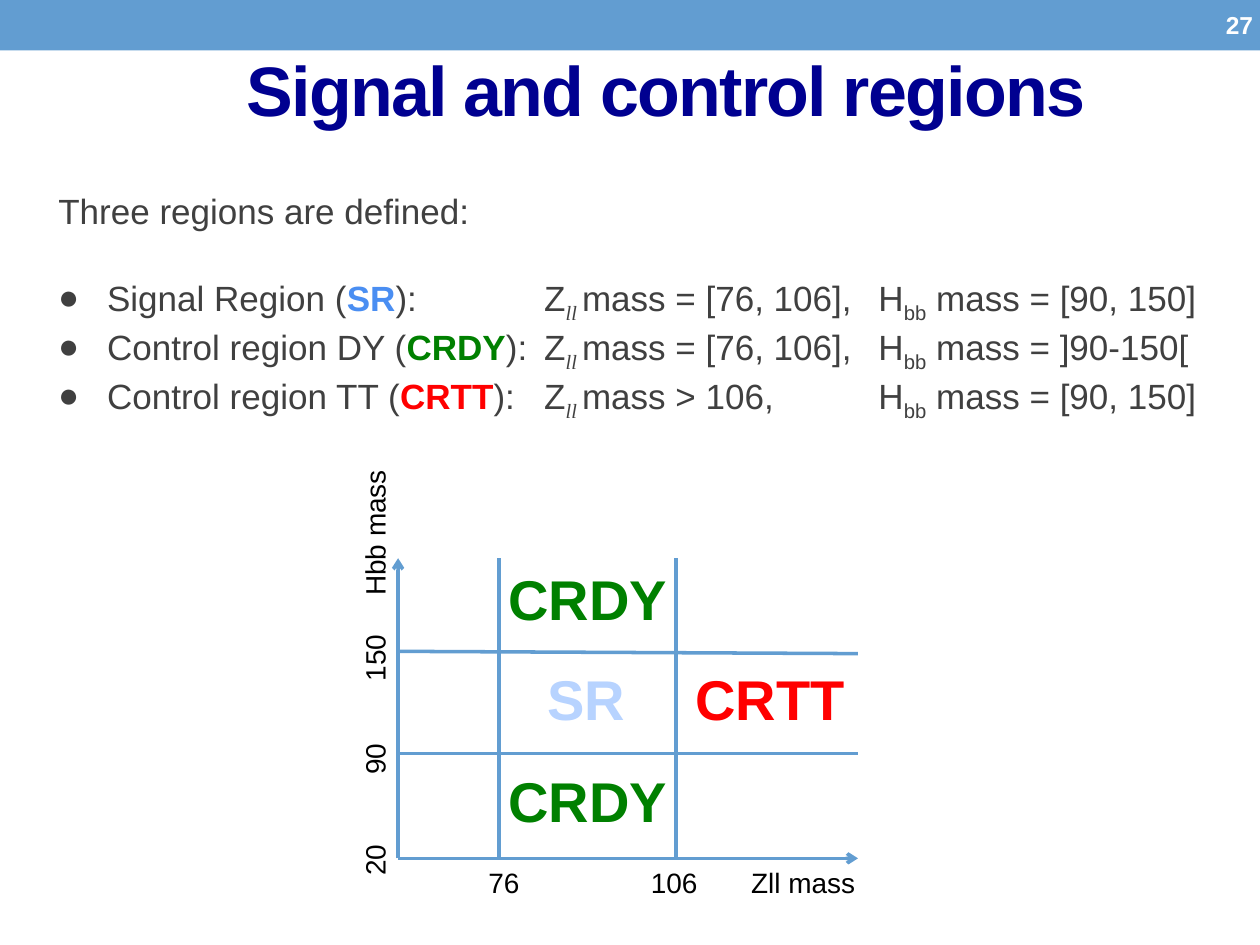
from lxml import etree
from pptx import Presentation
from pptx.dml.color import RGBColor
from pptx.enum.shapes import MSO_CONNECTOR, MSO_SHAPE
from pptx.enum.text import MSO_ANCHOR, PP_ALIGN
from pptx.oxml.ns import qn
from pptx.util import Pt

STRAIGHT = MSO_CONNECTOR.STRAIGHT
RECTANGLE = MSO_SHAPE.RECTANGLE
MIDDLE = MSO_ANCHOR.MIDDLE
LEFT, CENTER = PP_ALIGN.LEFT, PP_ALIGN.CENTER

BLUE = RGBColor(0x62, 0x9D, 0xD1)
NAVY = RGBColor(0x00, 0x00, 0x90)
GRAY = RGBColor(0x40, 0x40, 0x40)
SIGNAL = RGBColor(0x4A, 0x8E, 0xF2)
PALE = RGBColor(0xB7, 0xD3, 0xFF)
GREEN = RGBColor(0x00, 0x80, 0x00)
RED = RGBColor(0xFF, 0x00, 0x00)
BLACK = RGBColor(0x00, 0x00, 0x00)
WHITE = RGBColor(0xFF, 0xFF, 0xFF)

REGIONS = [
    ("Signal Region (", "SR", SIGNAL, "mass = [76, 106],", "mass = [90, 150]"),
    ("Control region DY (", "CRDY", GREEN, "mass = [76, 106],", "mass = ]90-150["),
    ("Control region TT (", "CRTT", RED, "mass > 106,", "mass = [90, 150]"),
]
X_AXIS, Y_AXIS = (227.5, 490.3), (490.5, 319)
LINES = [
    ((X_AXIS[0], Y_AXIS[0]), (X_AXIS[1], Y_AXIS[0]), True),
    ((X_AXIS[0], Y_AXIS[0]), (X_AXIS[0], Y_AXIS[1]), True),
    ((X_AXIS[0], 430.5), (X_AXIS[1], 430.5), False),
    ((X_AXIS[0], 372.2), (X_AXIS[1], 373.5), False),
    ((285.3, Y_AXIS[0]), (285.3, Y_AXIS[1]), False),
    ((386.4, Y_AXIS[0]), (386.4, Y_AXIS[1]), False),
]
AREAS = [("SR", PALE, 335, 399), ("CRTT", RED, 440, 399),
         ("CRDY", GREEN, 336, 342), ("CRDY", GREEN, 336, 457.2)]
X_LABELS = [("76", 288), ("106", 385.3), ("Zll mass", 459)]
Y_LABELS = [("20", 491.4), ("90", 433.7), ("150", 376), ("Hbb mass", 304.6)]
X_LABEL_Y, Y_LABEL_X = 504, 214
ROW_PITCH = 28


def add_box(page, left, top, width, height):
    box = page.shapes.add_textbox(Pt(left), Pt(top), Pt(width), Pt(height))
    frame = box.text_frame
    frame.word_wrap = True
    frame.margin_left = frame.margin_right = frame.margin_top = frame.margin_bottom = 0
    return box


def style(span, size, color, bold=False, font="Arial"):
    span.font.name = font
    span.font.size = Pt(size)
    span.font.bold = bold
    span.font.color.rgb = color


def add_text(page, place, text, size, color, bold=False, align=LEFT, anchor=None):
    box = add_box(page, *place)
    if anchor is not None:
        box.text_frame.vertical_anchor = anchor
    para = box.text_frame.paragraphs[0]
    para.text = text
    para.alignment = align
    style(para.runs[0], size, color, bold)
    return box


def add_centered(page, text, x, y, width, height, size, color, bold=False):
    place = (x - width / 2, y - height / 2, width, height)
    return add_text(page, place, text, size, color, bold, CENTER, MIDDLE)


def add_line(page, start, end, arrow):
    line = page.shapes.add_connector(STRAIGHT, *map(Pt, start + end))
    line.line.color.rgb = BLUE
    line.line.width = Pt(2)
    if arrow:
        etree.SubElement(line.line._get_or_add_ln(), qn("a:tailEnd"), type="arrow")
    etree.SubElement(line._element.spPr, qn("a:effectLst"))


def add_bullet(para):
    properties = para._p.get_or_add_pPr()
    properties.set("marL", str(Pt(36)))
    properties.set("indent", str(Pt(-28)))
    etree.SubElement(properties, qn("a:buFont"), typeface="Arial")
    etree.SubElement(properties, qn("a:buChar"), char="●")


def add_column(page, place, rows, bulleted=False):
    frame = add_box(page, *place).text_frame
    for index, row in enumerate(rows):
        para = frame.paragraphs[0] if index == 0 else frame.add_paragraph()
        para.line_spacing = Pt(ROW_PITCH)
        if bulleted:
            add_bullet(para)
        for text, color, kind in row:
            span = para.add_run()
            span.text = text
            font = "Times New Roman" if kind == "italic sub" else "Arial"
            style(span, 20, color, kind == "bold", font)
            if kind.endswith("sub"):
                span.font.italic = kind == "italic sub"
                span.font._element.set("baseline", "-25000")


def main():
    deck = Presentation()
    deck.slide_width, deck.slide_height = Pt(720), Pt(540)
    page = deck.slides.add_slide(deck.slide_layouts[6])

    band = page.shapes.add_shape(RECTANGLE, 0, 0, Pt(720), Pt(28.8))
    band.shadow.inherit = False
    band.fill.solid()
    band.fill.fore_color.rgb = BLUE
    band.line.fill.background()

    title = add_text(page, (141, 11.5, 560, 78), "Signal and control regions",
                     40, NAVY, True, anchor=MIDDLE)
    title.text_frame.paragraphs[0].runs[0].font._element.set("spc", "-100")
    add_text(page, (700.5, 1.4, 19, 26), "27", 14, WHITE, True, anchor=MIDDLE)
    add_text(page, (33.3, 108, 400, 24), "Three regions are defined:", 20, GRAY)

    names = [[(lead, GRAY, ""), (name, color, "bold"), ("):", GRAY, "")]
             for lead, name, color, _, _ in REGIONS]
    z_masses = [[("Z", GRAY, ""), ("ll ", GRAY, "italic sub"), (mass, GRAY, "")]
                for _, _, _, mass, _ in REGIONS]
    h_masses = [[("H", GRAY, ""), ("bb", GRAY, "sub"), (" " + mass, GRAY, "")]
                for _, _, _, _, mass in REGIONS]
    height = ROW_PITCH * len(REGIONS)
    add_column(page, (25.2, 154, 280, height), names, True)
    add_column(page, (311, 157.5, 188, height), z_masses)
    add_column(page, (502, 157.5, 210, height), h_masses)

    for start, end, arrow in LINES:
        add_line(page, start, end, arrow)
    for text, color, x, y in AREAS:
        add_centered(page, text, x, y, 100, 46, 32, color, True)
    for text, x in X_LABELS:
        add_centered(page, text, x, X_LABEL_Y, 80, 26, 16, BLACK)
    for text, y in Y_LABELS:
        label = add_centered(page, text, Y_LABEL_X, y, 80, 26, 16, BLACK)
        label.rotation = 270

    deck.save("out.pptx")


if __name__ == "__main__":
    main()
